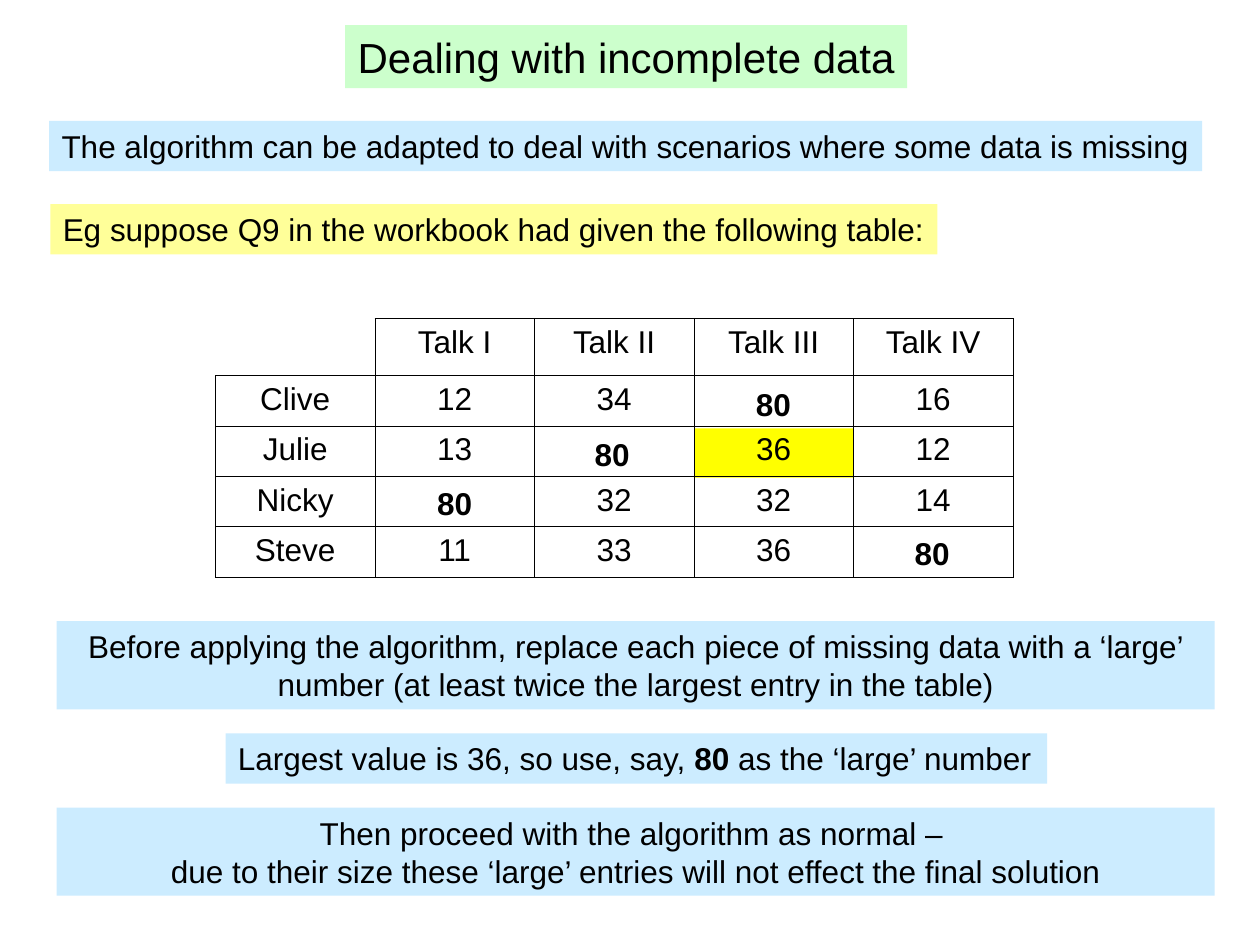
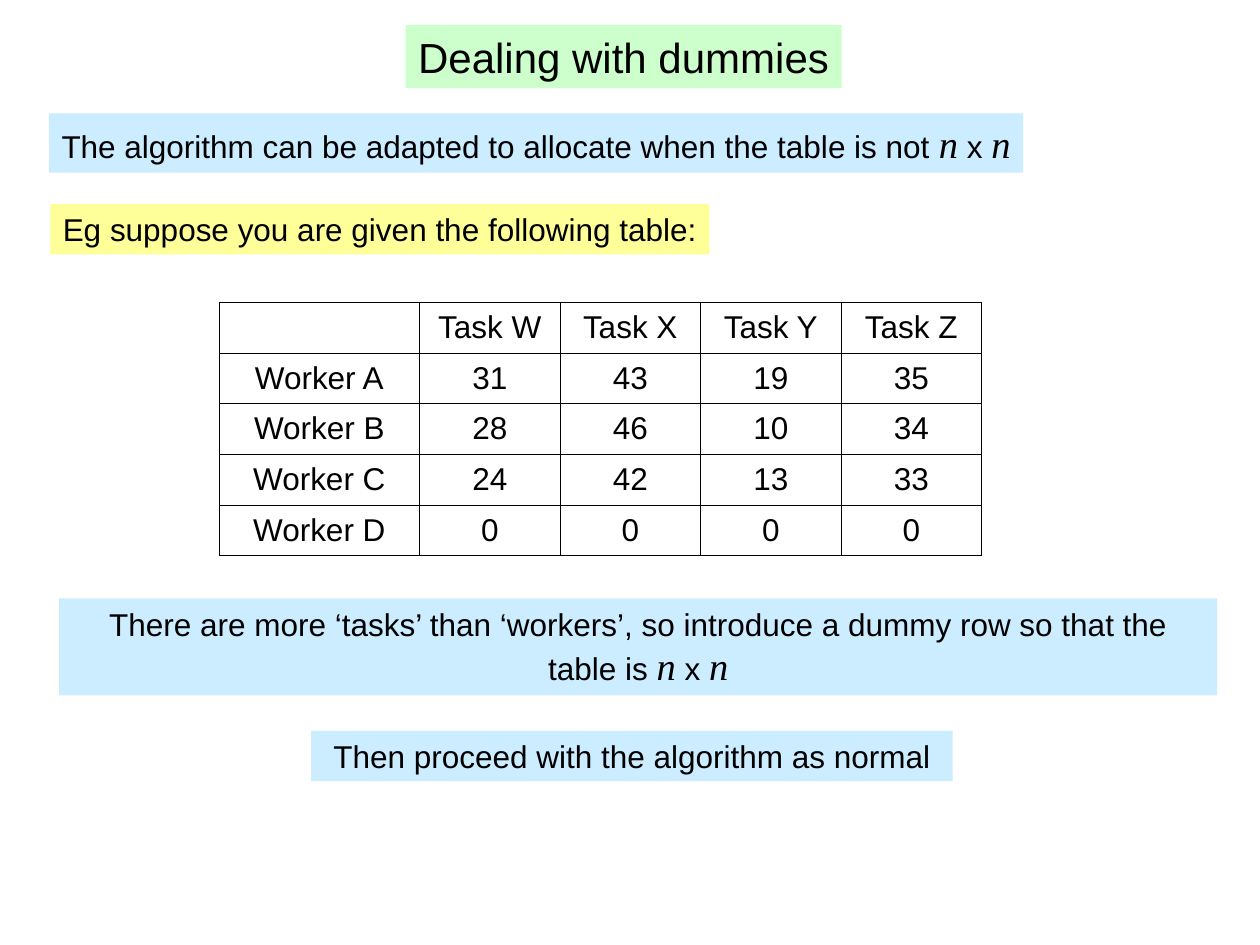
from lxml import etree
from pptx import Presentation
from pptx.dml.color import RGBColor
from pptx.enum.shapes import MSO_SHAPE
from pptx.enum.text import MSO_ANCHOR, MSO_AUTO_SIZE, PP_ALIGN
from pptx.oxml.ns import qn
from pptx.util import Inches, Pt

RECT = MSO_SHAPE.RECTANGLE
LEFT, CENTER = PP_ALIGN.LEFT, PP_ALIGN.CENTER
TOP, MIDDLE = MSO_ANCHOR.TOP, MSO_ANCHOR.MIDDLE
GROW = MSO_AUTO_SIZE.SHAPE_TO_FIT_TEXT

BLACK = RGBColor(0x00, 0x00, 0x00)
GREEN = RGBColor(0xCC, 0xFF, 0xCC)
BLUE = RGBColor(0xCC, 0xEC, 0xFF)
CREAM = RGBColor(0xFF, 0xFF, 0x99)
YELLOW = RGBColor(0xFF, 0xFF, 0x00)

BODY, HEAD, BOLD, VAR = "body", "head", "bold", "variable"
STYLES = {
    BODY: ("Arial", 18, False, False),
    HEAD: ("Arial", 24, False, False),
    BOLD: ("Arial", 18, True, False),
    VAR: ("Times New Roman", 22, False, True),
}
N_BY_N = [("n", VAR), (" x ", BODY), ("n", VAR)]


def add_box(slide, at, paragraphs, fill=None, align=LEFT, wrap=False):
    box = [Inches(v) for v in at]
    if fill is None:
        sp = slide.shapes.add_textbox(*box)
    else:
        sp = slide.shapes.add_shape(RECT, *box)
        sp.shadow.inherit = False
        sp.fill.solid()
        sp.fill.fore_color.rgb = fill
        sp.line.fill.background()
    tf = sp.text_frame
    tf.word_wrap = wrap
    tf.vertical_anchor = TOP
    if paragraphs:
        tf.auto_size = GROW
    for i, runs in enumerate(paragraphs):
        p = tf.add_paragraph() if i else tf.paragraphs[0]
        p.alignment = align
        for text, style in runs:
            r = p.add_run()
            r.text = text
            name, size, r.font.bold, r.font.italic = STYLES[style]
            r.font.name, r.font.size = name, Pt(size)
            r.font.color.rgb = BLACK


def add_grid(slide, left, top, col_widths, row_heights, rows, anchor, open_corner=False):
    frame = slide.shapes.add_table(
        len(rows), len(col_widths), Inches(left), Inches(top),
        Inches(sum(col_widths)), Inches(sum(row_heights)))
    table = frame.table
    table.first_row = table.horz_banding = False
    for col, width in zip(table.columns, col_widths):
        col.width = Inches(width)
    for row, height in zip(table.rows, row_heights):
        row.height = Inches(height)
    for i, values in enumerate(rows):
        for j, value in enumerate(values):
            cell = table.cell(i, j)
            cell.fill.background()
            cell.vertical_anchor = anchor
            p = cell.text_frame.paragraphs[0]
            p.alignment = CENTER
            if value:
                r = p.add_run()
                r.text = value
                r.font.name, r.font.size = "Arial", Pt(18)
                r.font.color.rgb = BLACK
            tc_pr = cell._tc.get_or_add_tcPr()
            for k, side in enumerate(("lnL", "lnR", "lnT", "lnB")):
                ln = etree.Element(qn("a:" + side), w=str(Pt(0.45)))
                if open_corner and i == j == 0 and side in ("lnL", "lnT"):
                    etree.SubElement(ln, qn("a:noFill"))
                else:
                    solid = etree.SubElement(ln, qn("a:solidFill"))
                    etree.SubElement(solid, qn("a:srgbClr"), val=str(BLACK))
                tc_pr.insert(k, ln)


prs = Presentation()
prs.slide_width, prs.slide_height = Inches(10), Inches(7.5)

openings = [
    ((2.74, 4.46), "Dealing with incomplete data",
     (0.96, 9.15, 0.4),
     [("The algorithm can be adapted to deal with scenarios where some data is missing", BODY)],
     7.04, "Eg suppose Q9 in the workbook had given the following table:"),
    ((3.22, 3.46), "Dealing with dummies",
     (0.9, 7.73, 0.47),
     [("The algorithm can be adapted to allocate when the table is not ", BODY)] + N_BY_N,
     5.23, "Eg suppose you are given the following table:"),
]
slides = []
for (x, w), title, intro_at, intro, example_w, example in openings:
    s = prs.slides.add_slide(prs.slide_layouts[6])
    add_box(s, (x, 0.2, w, 0.5), [[(title, HEAD)]], GREEN)
    add_box(s, (0.39, *intro_at), [intro], BLUE)
    add_box(s, (0.4, 1.62, example_w, 0.4), [[(example, BODY)]], CREAM)
    slides.append(s)
missing_data, dummies = slides

add_box(missing_data, (5.51, 3.4, 1.26, 0.39), [], YELLOW)
talks = [
    ("", "Talk I", "Talk II", "Talk III", "Talk IV"),
    ("Clive", "12", "34", "", "16"),
    ("Julie", "13", "", "36", "12"),
    ("Nicky", "", "32", "32", "14"),
    ("Steve", "11", "33", "36", ""),
]
add_grid(missing_data, 1.71, 2.53, [6.33 / 5] * 5, [0.45] + [0.4] * 4, talks, TOP,
         open_corner=True)
for x, y in ((3.37, 3.79), (4.62, 3.4), (5.9, 3.01), (7.16, 4.19)):
    add_box(missing_data, (x, y, 0.48, 0.4), [[("80", BOLD)]])

add_box(missing_data, (0.45, 4.93, 9.19, 0.7), [[
    ("Before applying the algorithm, replace each piece of missing data with a ‘large’ "
     "number (at least twice the largest entry in the table)", BODY)]], BLUE, CENTER, True)
add_box(missing_data, (0.45, 6.41, 9.19, 0.7), [
    [("Then proceed with the algorithm as normal – ", BODY)],
    [("due to their size these ‘large’ entries will not effect the final solution", BODY)],
], BLUE, CENTER, True)
add_box(missing_data, (1.79, 5.82, 6.52, 0.4), [[
    ("Largest value is 36, so use, say, ", BODY), ("80", BOLD),
    (" as the ‘large’ number", BODY)]], BLUE)

add_box(dummies, (0.47, 4.75, 9.19, 0.77), [[
    ("There are more ‘tasks’ than ‘workers’, so introduce a dummy row so that the table is ",
     BODY)] + N_BY_N], BLUE, CENTER, True)
add_box(dummies, (2.47, 5.8, 5.09, 0.4), [[
    ("Then proceed with the algorithm as normal", BODY)]], BLUE, CENTER, True)

tasks = [
    ("", "Task W", "Task X", "Task Y", "Task Z"),
    ("Worker A", "31", "43", "19", "35"),
    ("Worker B", "28", "46", "10", "34"),
    ("Worker C", "24", "42", "13", "33"),
]
dummy_row = [("",) * 5] * len(tasks) + [("Worker D", "0", "0", "0", "0")]
task_widths = [1.59] + [(6.05 - 1.59) / 4] * 4
for rows in (tasks, dummy_row):
    add_grid(dummies, 1.74, 2.4, task_widths, [2.01 / 5] * len(rows), rows, MIDDLE)

prs.save("out.pptx")
